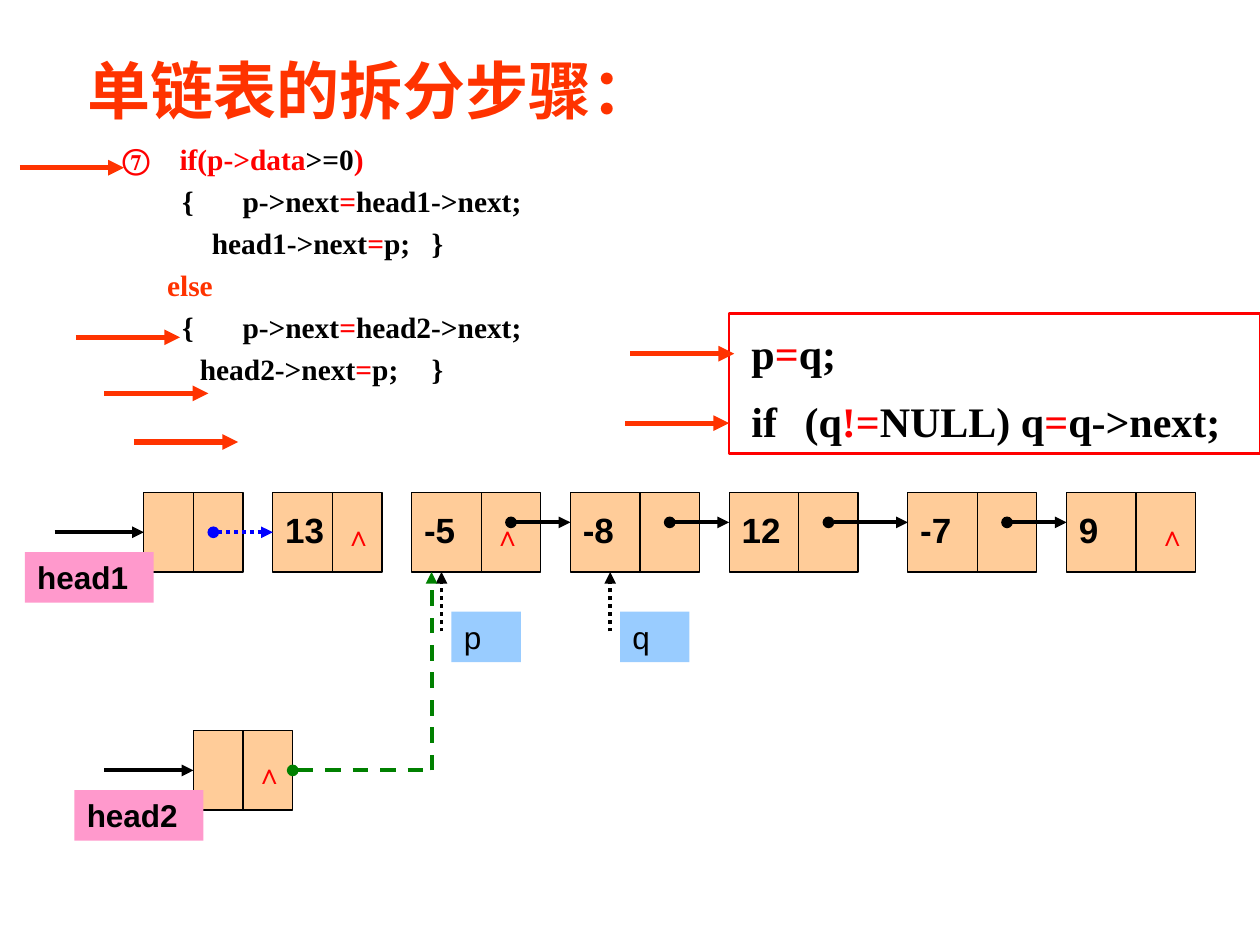
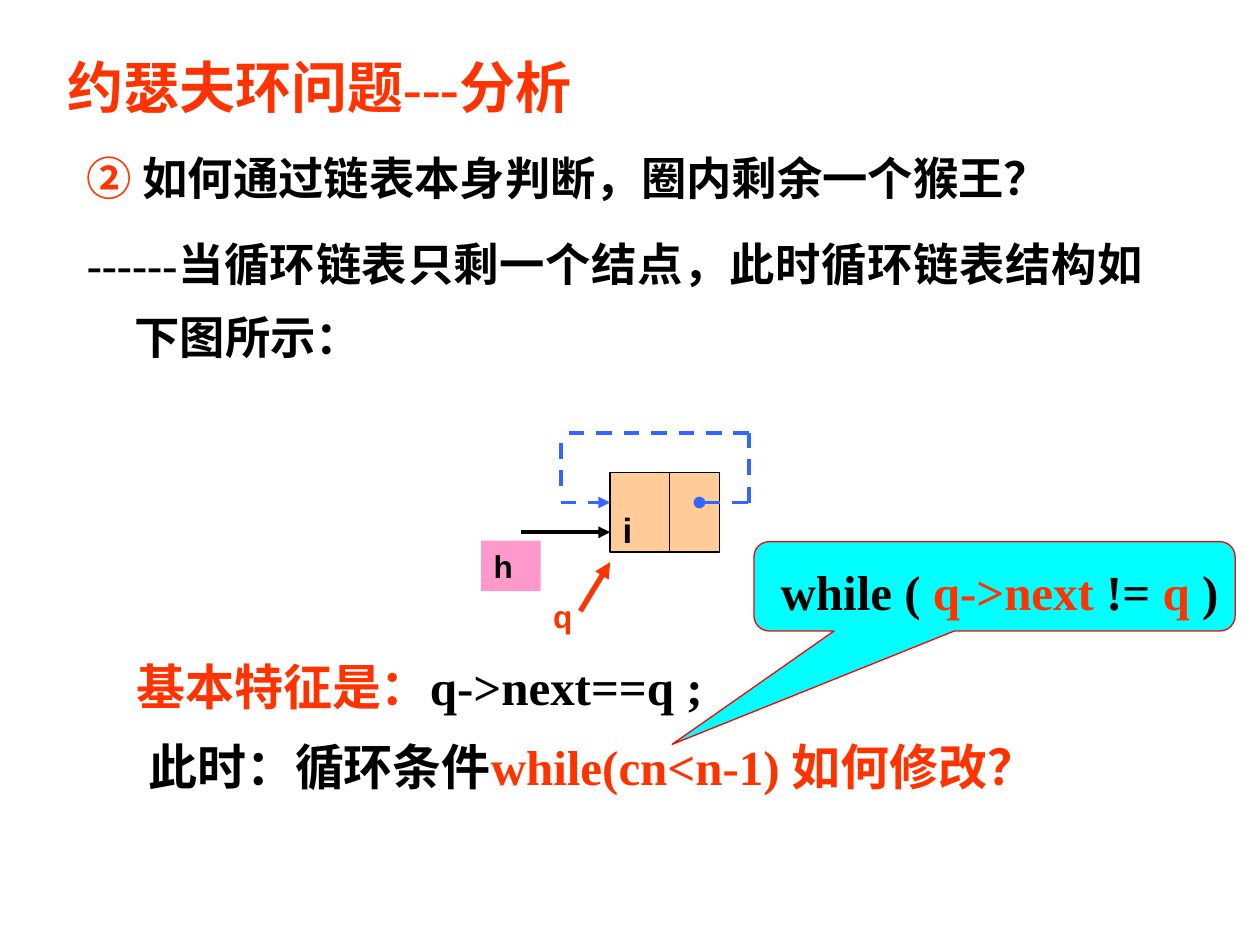
from dataclasses import dataclass
from itertools import pairwise
from typing import NamedTuple

from lxml.etree import SubElement
from pptx import Presentation
from pptx.dml.color import RGBColor
from pptx.enum.dml import MSO_LINE
from pptx.enum.shapes import MSO_CONNECTOR, MSO_SHAPE
from pptx.enum.text import MSO_ANCHOR, MSO_AUTO_SIZE, PP_ALIGN
from pptx.oxml.ns import qn
from pptx.util import Inches, Pt

# The slide is 127 columns wide; rows have the same pitch as columns.
COLUMNS = 127
WIDTH, HEIGHT = Inches(10), Inches(7.5)
SERIF, SANS = "Times New Roman", "Arial"
BLACK, RED, ORANGE = "000000", "FF0000", "FF3300"
PEACH, PINK, SKY, CYAN = "FFCC99", "FF99CC", "99CCFF", "00FFFF"
BLUE, GREEN, LOOP_BLUE = "0000FF", "008000", "3366FF"
NODE_HEIGHT = 8
THIN, MEDIUM, THICK = 0.74, 2.24, 3


class Span(NamedTuple):
    """A stretch of text in one colour."""
    text: str
    color: str = BLACK


class Area(NamedTuple):
    """A rectangle in columns and rows."""
    column: float
    row: float
    width: float
    height: float


@dataclass
class Style:
    """Font and paragraph format of a text."""
    size: float
    font: str = SERIF
    bold: bool = True
    align: PP_ALIGN = PP_ALIGN.LEFT
    leading: float = 1.0
    before: float = 0


@dataclass
class Line:
    """One paragraph with its indents and tab stops in columns."""
    spans: list[Span]
    left: float = 0
    first: float = 0
    tab: float = 0


@dataclass
class Node:
    """A list node: a data cell and a link cell, perhaps with a null mark."""
    column: float
    row: float
    width: float
    divider: float
    value: str = ""
    value_drop: float = 1
    mark: float = 0


def units(count: float) -> int:
    """Turn grid columns or rows into a length."""
    return round(count * WIDTH / COLUMNS)


def rgb(color: str) -> RGBColor:
    """Turn a hex string into a colour."""
    return RGBColor.from_string(color)


def alternate(text: str, colors: tuple[str, str] = (BLACK, RED)) -> list[Span]:
    """Split text at bars and colour the parts in turn."""
    return [Span(part, colors[i % 2]) for i, part in enumerate(text.split("|"))]


def put(shape, area: Area) -> None:
    """Place a shape on the grid."""
    for name, value in zip(("left", "top", "width", "height"), area):
        setattr(shape, name, units(value))


def write(shape, lines: list[Line], style: Style, anchor=MSO_ANCHOR.TOP) -> None:
    """Fill a shape with formatted paragraphs."""
    frame = shape.text_frame
    frame.word_wrap = True
    frame.auto_size = MSO_AUTO_SIZE.NONE
    frame.vertical_anchor = anchor
    for number, line in enumerate(lines):
        para = frame.add_paragraph() if number else frame.paragraphs[0]
        layout = {"alignment": style.align, "line_spacing": style.leading,
                  "space_before": Pt(style.before)}
        for name, value in layout.items():
            setattr(para, name, value)
        properties = para._p.get_or_add_pPr()
        properties.set("marL", str(units(line.left)))
        properties.set("indent", str(units(line.first)))
        if line.tab:
            stops = SubElement(properties, qn("a:tabLst"))
            SubElement(stops, qn("a:tab"), pos=str(units(line.tab)), algn="l")
        for span in line.spans:
            run = para.add_run()
            run.text = span.text
            looks = {"name": style.font, "size": Pt(style.size), "bold": style.bold}
            for name, value in looks.items():
                setattr(run.font, name, value)
            run.font.color.rgb = rgb(span.color)


def add_page(deck, title: str, area: Area, size: float, anchor: MSO_ANCHOR):
    """Add a slide with its orange title."""
    page = deck.slides.add_slide(deck.slide_layouts[5])
    put(page.shapes.title, area)
    write(page.shapes.title, [Line([Span(title, ORANGE)])], Style(size), anchor)
    return page


def add_text(page, area: Area, lines: list[Line], style: Style) -> None:
    """Add a plain text box."""
    box = page.shapes.add_textbox(0, 0, 0, 0)
    put(box, area)
    write(box, lines, style)


def add_box(page, area: Area, fill: str = "", line: str = "", weight: float = THIN,
            kind=MSO_SHAPE.RECTANGLE):
    """Add a preset shape; an empty colour means none."""
    box = page.shapes.add_shape(kind, 0, 0, 0, 0)
    put(box, area)
    box.shadow.inherit = False
    for part, color in ((box.fill, fill), (box.line.fill, line)):
        if color:
            part.solid()
            part.fore_color.rgb = rgb(color)
        else:
            part.background()
    if line:
        box.line.width = Pt(weight)
    return box


def add_line(page, start: tuple, end: tuple, color: str = BLACK, weight: float = MEDIUM,
             dash=None, head: str = "", tail: str = "triangle") -> None:
    """Draw a straight line between two grid points, with optional ends."""
    line = page.shapes.add_connector(MSO_CONNECTOR.STRAIGHT,
                                     *(units(value) for value in (*start, *end)))
    line.line.color.rgb = rgb(color)
    line.line.width = Pt(weight)
    if dash:
        line.line.dash_style = dash
    outline = line.line._get_or_add_ln()
    for tag, kind in (("a:headEnd", head), ("a:tailEnd", tail)):
        if kind:
            SubElement(outline, qn(tag), type=kind)
    SubElement(line._element.spPr, qn("a:effectLst"))


def add_label(page, text: str, column: float, row: float, width: float,
              fill: str = "", bold: bool = True, color: str = BLACK) -> None:
    """Add a pointer name on a coloured tag."""
    box = add_box(page, Area(column, row, width, 5.1), fill)
    write(box, [Line([Span(text, color)])], Style(18, SANS, bold))


def add_node(page, node: Node) -> None:
    """Draw one list node."""
    add_box(page, Area(node.column, node.row, node.width, NODE_HEIGHT), PEACH, BLACK)
    middle = node.column + node.divider
    add_line(page, (middle, node.row), (middle, node.row + NODE_HEIGHT),
             weight=THIN, tail="")
    if node.value:
        add_text(page, Area(node.column, node.row + node.value_drop, 8, 5.6),
                 [Line([Span(node.value)])], Style(20, SANS))
    if node.mark:
        add_text(page, Area(node.column + node.mark, node.row + 2, 5, 4.2),
                 [Line([Span("∧", RED)])], Style(16))


def add_split_page(deck) -> None:
    """Build the slide on splitting a list in two."""
    page = add_page(deck, "单链表的拆分步骤：", Area(7.5, 4.6, 108, 8.9), 36,
                    MSO_ANCHOR.MIDDLE)
    row, second_row = 49.65, 73.65
    first_head = Node(14.5, row, 10, 5)
    second_head = Node(19.5, second_row, 10, 5, mark=5)
    chain = [Node(41.5, row, 13, 7, "-5", mark=7), Node(57.5, row, 13, 7, "-8"),
             Node(73.5, row, 13, 7, "12"), Node(91.5, row, 13, 7, "-7"),
             Node(107.5, row, 13, 7, "9", mark=8)]
    for node in (first_head, Node(27.5, row, 11, 6, "13", mark=6), *chain, second_head):
        add_node(page, node)
    for node, following in pairwise(chain):
        add_line(page, (node.column + 10, row + 3), (following.column, row + 3),
                 head="oval")
    for name, node in (("head1", first_head), ("head2", second_head)):
        add_line(page, (node.column - 9, node.row + 4), (node.column, node.row + 4))
        add_label(page, name, node.column - 12, node.row + 6, 13, PINK)
    bottom = row + NODE_HEIGHT
    for name, column in (("p", 44.5), ("q", 61.5)):
        add_line(page, (column, bottom + 6), (column, bottom), dash=MSO_LINE.ROUND_DOT)
        add_label(page, name, column + 1, bottom + 4, 7, SKY, bold=False)
    add_line(page, (21.5, row + 4), (27.5, row + 4), BLUE,
             dash=MSO_LINE.ROUND_DOT, head="oval")
    corner = (43.5, second_row + 4)
    add_line(page, (29.5, second_row + 4), corner, GREEN, dash=MSO_LINE.DASH,
             head="oval", tail="")
    add_line(page, corner, (43.5, bottom), GREEN, dash=MSO_LINE.DASH)

    code = [
        Line(alternate("⑦\tif(p->data|>=0|)", (RED, BLACK)), first=0.6, tab=5.7),
        Line(alternate("{\tp->next|=|head1->next;"), first=6.6, tab=10),
        Line(alternate("head1->next|=|p;\t}"), first=9.6, tab=33.3),
        Line([Span("else", ORANGE)], first=5.1),
        Line(alternate("{\tp->next|=|head2->next;"), first=6.6, tab=8.4),
        Line(alternate("head2->next|=|p;\t}"), first=8.4, tab=32.1),
    ]
    add_text(page, Area(10.5, 13.6, 109, 27), code, Style(16.8, before=3.8))
    advance = [Line(alternate("p|=|q;"), first=1),
               Line(alternate("if\t(q|!=|NULL) q|=|q->next;"), first=1, tab=5.7)]
    frame = add_box(page, Area(73.5, 31.6, 53.5, 14.1), line=RED, weight=1.5)
    write(frame, advance, Style(24, leading=1.15, before=6))
    for column, height in ((2, 16.9), (7.65, 34), (10.5, 39.65), (13.5, 44.55),
                           (63.5, 35.65), (63, 42.65)):
        add_line(page, (column, height), (column + 10.5, height), ORANGE, THICK)


def add_ring_page(deck) -> None:
    """Build the slide on the ring with one node left."""
    page = add_page(deck, "约瑟夫环问题---分析", Area(5.5, 4.6, 111.9, 8.1), 32,
                    MSO_ANCHOR.BOTTOM)
    question = [[Span("② ", ORANGE), Span("如何通过链表本身判断，圈内剩余一个猴王？")],
                [Span("------当循环链表只剩一个结点，此时循环链表结构如下图所示：")]]
    add_text(page, Area(7.5, 12.6, 109, 25.1),
             [Line(spans, left=4.8, first=-4.8) for spans in question],
             Style(25.9, align=PP_ALIGN.JUSTIFY, leading=1.35, before=7))

    node = Node(61.5, 47.65, 11, 6, "i", value_drop=3)
    add_label(page, "h", node.column - 13, 54.5, 6, PINK)
    add_node(page, node)
    add_line(page, (node.column - 9, node.row + 6), (node.column, node.row + 6))
    link, top, left, right = node.row + 3, node.row - 4, 56.5, 75.5
    for start, end, head, tail in (
            ((70.5, link), (right, link), "oval", ""),
            ((right, link), (right, top), "", ""),
            ((right, top), (left, top), "", ""),
            ((left, top + 1), (left, link - 1), "", ""),
            ((left, link), (node.column, link), "", "triangle")):
        add_line(page, start, end, LOOP_BLUE, dash=MSO_LINE.DASH, head=head, tail=tail)

    answer = [Line([Span("基本特征是：", ORANGE), Span("q->next==q ;")]),
              Line([Span("此时：循环条件"), Span("while(cn<n-1) 如何修改？", ORANGE)],
                   first=1.2)]
    add_text(page, Area(12.5, 64.65, 114.5, 24), answer,
             Style(28, leading=1.15, before=7))
    add_label(page, "q", 54.5, 59.55, 6, color=ORANGE)
    add_line(page, (58.5, 61.6), (node.column, 56.65), ORANGE, THICK)
    callout = add_box(page, Area(76, 54.6, 48.5, 9), CYAN, RED,
                      kind=MSO_SHAPE.ROUNDED_RECTANGULAR_CALLOUT)
    for index, value in enumerate((-0.67, 1.77, 0.17)):
        callout.adjustments[index] = value
    write(callout, [Line(alternate("while ( |q->next |!= |q |)", (BLACK, ORANGE)))],
          Style(28, align=PP_ALIGN.RIGHT, leading=1.15, before=7))


def main() -> None:
    """Build and save the deck."""
    deck = Presentation()
    deck.slide_width, deck.slide_height = WIDTH, HEIGHT
    add_split_page(deck)
    add_ring_page(deck)
    deck.save("out.pptx")


main()
